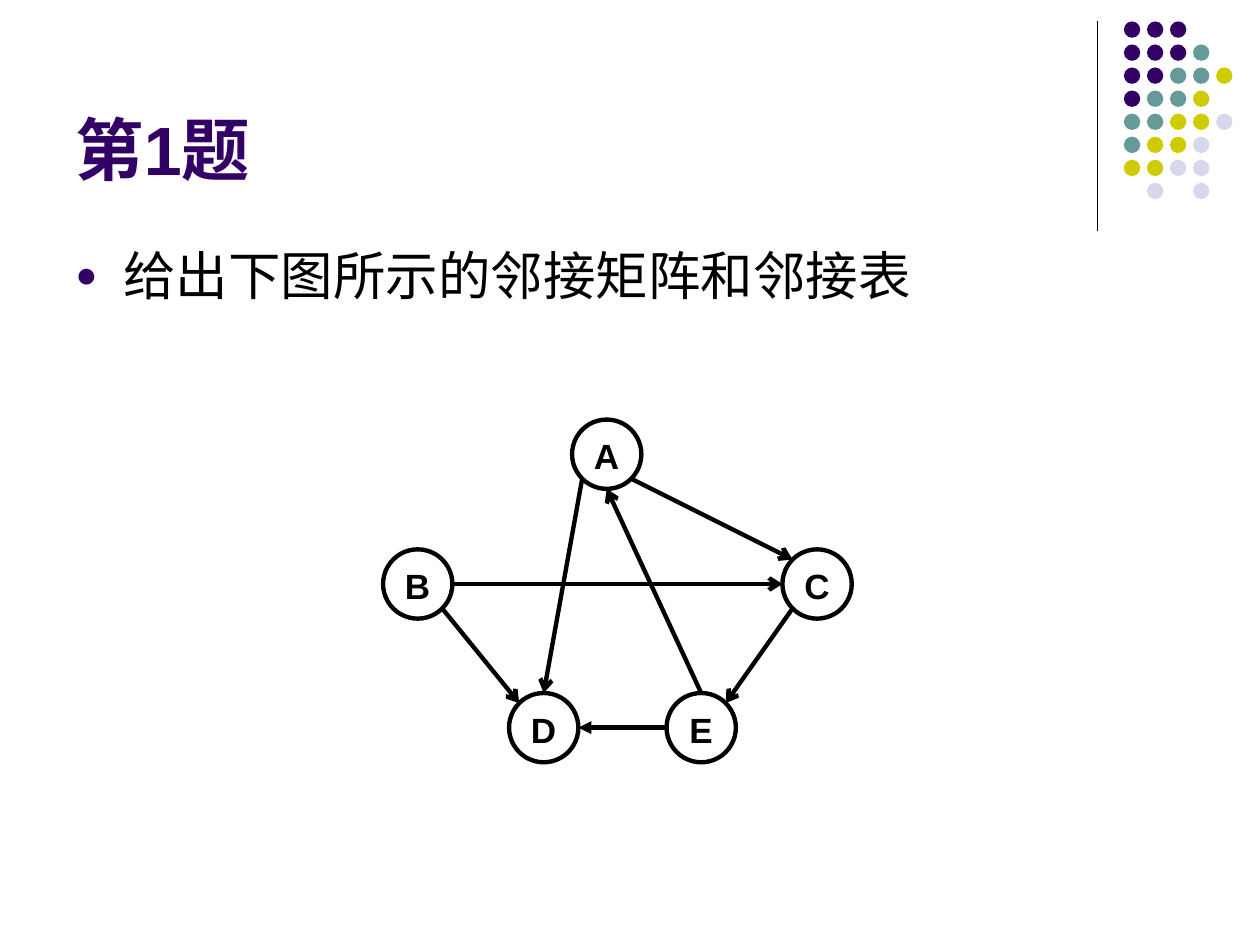
import math
from lxml import etree
from pptx import Presentation
from pptx import util as u
from pptx.dml.color import RGBColor
from pptx.enum import shapes, text
from pptx.oxml.ns import qn

COLORS = {"purple": "330066", "teal": "669999", "olive": "CCCC00",
          "pale": "D8D8EC", "black": "000000"}
FONT = "Arial"

# Dot colours by row, "." leaves a gap
DOTS = ["PPP", "PPPT", "PPTTO", "PTTO", "TTOOL", "TOOL", "OOLL", ".L.L"]
DOT_KEYS = {"P": "purple", "T": "teal", "O": "olive", "L": "pale"}
DOT_STEP, DOT_SIZE = 0.183, 0.13

# Graph: top-left corner of each node, and edges as
# (from node, side, to node, side, arrowhead); sides are degrees clockwise from right
NODE_SIZE = 0.55
NODES = {"E": (5.29, 5.5), "D": (4.04, 5.5), "C": (6.21, 4.36),
         "B": (3.04, 4.36), "A": (4.54, 3.33)}
EDGES = [("E", 180, "D", 0, "triangle"), ("B", 0, "C", 180, "arrow"),
         ("A", 135, "D", 270, "arrow"), ("E", 270, "A", 90, "arrow"),
         ("A", 45, "C", 225, "arrow"), ("C", 135, "E", 315, "arrow"),
         ("B", 45, "D", 225, "arrow")]


def rgb(key):
    return RGBColor.from_string(COLORS[key])


class SlideBuilder:
    def __init__(self, slide):
        self.slide = slide

    def put_text(self, sp, content, size, color="black", bold=False,
                 align=text.PP_ALIGN.LEFT, anchor=text.MSO_ANCHOR.TOP):
        tf = sp.text_frame
        frame = {"word_wrap": True, "auto_size": text.MSO_AUTO_SIZE.NONE,
                 "vertical_anchor": anchor}
        for name, value in frame.items():
            setattr(tf, name, value)
        p = tf.paragraphs[0]
        p.alignment = align
        r = p.add_run()
        r.text = content
        for name, value in {"name": FONT, "size": u.Pt(size), "bold": bold}.items():
            setattr(r.font, name, value)
        r.font.color.rgb = rgb(color)
        return p

    def title(self, content, box):
        sp = self.slide.shapes.title
        for name, value in zip(("left", "top", "width", "height"), box):
            setattr(sp, name, u.Inches(value))
        self.put_text(sp, content, 39, "purple", True, anchor=text.MSO_ANCHOR.BOTTOM)

    def textbox(self, content, box, size, **style):
        sp = self.slide.shapes.add_textbox(*map(u.Inches, box))
        return self.put_text(sp, content, size, **style)

    def bullet(self, p, indent, color):
        pPr = p._p.get_or_add_pPr()
        pPr.set("marL", str(u.Inches(indent)))
        pPr.set("indent", str(-u.Inches(indent)))
        clr = etree.SubElement(pPr, qn("a:buClr"))
        etree.SubElement(clr, qn("a:srgbClr"), val=COLORS[color])
        etree.SubElement(pPr, qn("a:buSzPct"), val="70000")
        etree.SubElement(pPr, qn("a:buFont"), typeface=FONT)
        etree.SubElement(pPr, qn("a:buChar"), char="●")

    def circle(self, x, y, size, fill=None, line=None):
        sp = self.slide.shapes.add_shape(
            shapes.MSO_SHAPE.OVAL, *map(u.Inches, (x, y, size, size)))
        sp.shadow.inherit = False
        if fill:
            sp.fill.solid()
            sp.fill.fore_color.rgb = rgb(fill)
        else:
            sp.fill.background()
        if line:
            sp.line.color.rgb = rgb("black")
            sp.line.width = u.Pt(line)
        else:
            sp.line.fill.background()

    def line(self, start, end, width, arrow=None):
        cxn = self.slide.shapes.add_connector(
            shapes.MSO_CONNECTOR.STRAIGHT, *map(u.Inches, (*start, *end)))
        cxn.line.color.rgb = rgb("black")
        cxn.line.width = u.Pt(width)
        spPr = cxn._element.spPr
        if arrow:
            etree.SubElement(spPr.get_or_add_ln(), qn("a:tailEnd"), type=arrow)
        etree.SubElement(spPr, qn("a:effectLst"))

    def node(self, name):
        x, y = NODES[name]
        self.textbox(name, (x - 0.08, y + 0.07, 0.71, 0.44), 20, bold=True,
                     align=text.PP_ALIGN.CENTER)
        self.circle(x, y, NODE_SIZE, line=2.5)


def rim_point(name, degrees):
    radius, angle = NODE_SIZE / 2, math.radians(degrees)
    x, y = NODES[name]
    return (x + radius * (1 + math.cos(angle)), y + radius * (1 + math.sin(angle)))


def main():
    prs = Presentation()
    prs.slide_width, prs.slide_height = u.Inches(10), u.Inches(7.5)
    s = SlideBuilder(prs.slides.add_slide(prs.slide_layouts[5]))

    # Corner decoration
    s.line((8.71, 0.17), (8.71, 1.83), 0.75)
    for row, keys in enumerate(DOTS):
        for col, key in enumerate(keys):
            if key != ".":
                s.circle(8.92 + col * DOT_STEP, 0.17 + row * DOT_STEP,
                         DOT_SIZE, fill=DOT_KEYS[key])

    # Title and question
    s.title("第1题", (0.5, 0.13, 8.25, 1.42))
    question = s.textbox("给出下图所示的邻接矩阵和邻接表", (0.5, 1.88, 9, 4.82), 30)
    s.bullet(question, 0.38, "purple")

    # Directed graph
    for name in NODES:
        s.node(name)
    for source, out_side, target, in_side, arrow in EDGES:
        s.line(rim_point(source, out_side), rim_point(target, in_side), 2.5, arrow)

    prs.save("out.pptx")


if __name__ == "__main__":
    main()
